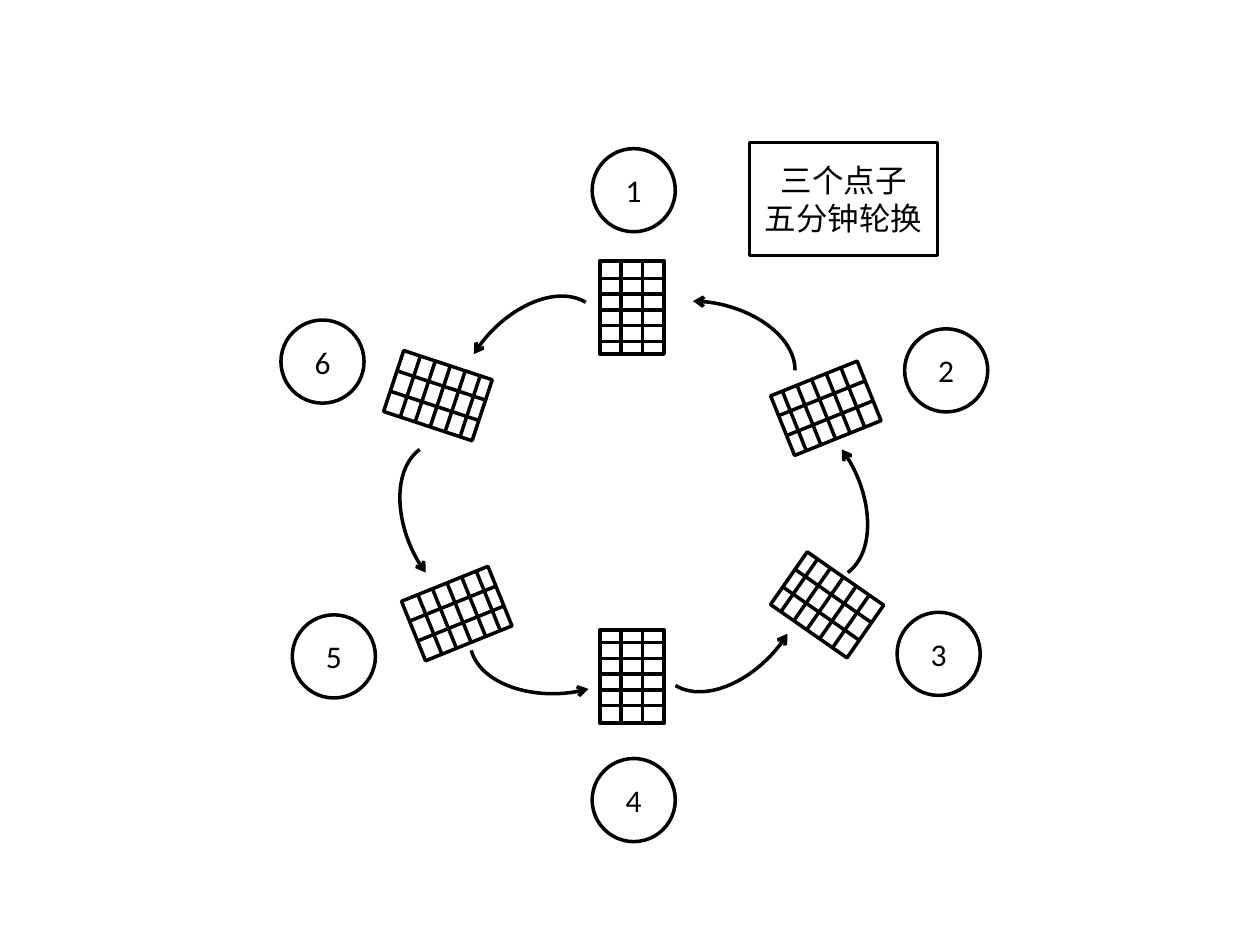
from math import cos, radians, sin

from lxml.etree import SubElement
from pptx import Presentation
from pptx.dml.color import RGBColor
from pptx.enum.shapes import MSO_CONNECTOR as Link, MSO_SHAPE as Shape
from pptx.enum.text import MSO_ANCHOR as Anchor, PP_ALIGN as Align
from pptx.oxml.ns import qn
from pptx.util import Inches, Pt

BLACK = RGBColor(0, 0, 0)
WHITE = RGBColor(255, 255, 255)
LATIN_FONT = "Calibri"
CHINESE_FONT = "Noto Sans CJK SC"

CIRCLE_SIZE = 0.66
SHEET_WIDTH, SHEET_HEIGHT = 0.51, 0.74
ROW_START, ROW_STEP = 0.1, 0.125
ARROW_WIDTH, ARROW_HEIGHT = 0.55, 0.81

CIRCLES = [
    ("6", 2.23, 2.54), ("1", 4.7, 1.18), ("2", 7.18, 2.61),
    ("3", 7.12, 4.86), ("5", 2.32, 4.88), ("4", 4.7, 6.02),
]
SHEETS = [
    (4.76, 2.07, 180), (3.22, 2.77, 108.3), (3.37, 4.5, 68),
    (4.76, 5, 0), (6.31, 4.43, 304.9), (6.3, 2.87, 248.1),
]
ARROWS = [
    (5.63, 2.26, 270, "v"), (3.93, 2.2, 211, "v"), (3.08, 3.65, 143, "v"),
    (3.93, 4.91, 254, "h"), (5.53, 4.83, 211, "h"), (6.43, 3.65, 143, "h"),
]


def add_outline(shapes, kind, left, top, width, height):
    """Add a white shape with a black outline."""
    shape = shapes.add_shape(
        kind, Inches(left), Inches(top), Inches(width), Inches(height))
    shape.shadow.inherit = False
    shape.fill.solid()
    shape.fill.fore_color.rgb = WHITE
    shape.line.color.rgb = BLACK
    shape.line.width = Pt(2)
    return shape


def add_link(shapes, kind, start, end):
    """Add a black connector between two points."""
    link = shapes.add_connector(kind, *(Inches(value) for value in (*start, *end)))
    link.line.color.rgb = BLACK
    link.line.width = Pt(2)
    SubElement(link._element.spPr, qn("a:effectLst"))
    return link


def write_centred(shape, lines, font):
    """Write centred lines, one paragraph each, into a shape."""
    frame = shape.text_frame
    frame.word_wrap = True
    frame.vertical_anchor = Anchor.MIDDLE
    for index, line in enumerate(lines):
        para = frame.add_paragraph() if index else frame.paragraphs[0]
        para.alignment = Align.CENTER
        span = para.add_run()
        span.text = line
        span.font.size = Pt(18)
        span.font.name = font
        span.font.color.rgb = BLACK
        SubElement(span.font._element, qn("a:ea"), typeface=font)


def add_person(page, number, left, top):
    """Add the numbered circle of one participant."""
    circle = add_outline(
        page.shapes, Shape.OVAL, left, top, CIRCLE_SIZE, CIRCLE_SIZE)
    write_centred(circle, [number], LATIN_FONT)


def add_sheet(page, left, top, angle):
    """Add a turned idea sheet with three columns and six rows."""
    shapes = page.shapes.add_group_shape().shapes
    sheet = add_outline(
        shapes, Shape.RECTANGLE, left, top, SHEET_WIDTH, SHEET_HEIGHT)
    sheet.rotation = angle
    turn_cos, turn_sin = cos(radians(angle)), sin(radians(angle))

    def turned(x, y):
        """Turn a point of the sheet around its centre."""
        x, y = x - SHEET_WIDTH / 2, y - SHEET_HEIGHT / 2
        return (left + SHEET_WIDTH / 2 + x * turn_cos - y * turn_sin,
                top + SHEET_HEIGHT / 2 + x * turn_sin + y * turn_cos)

    for column in (1, 2):
        x = SHEET_WIDTH * column / 3
        add_link(shapes, Link.STRAIGHT, turned(x, 0), turned(x, SHEET_HEIGHT))
    for row in range(5):
        y = ROW_START + ROW_STEP * row
        add_link(shapes, Link.STRAIGHT, turned(0, y), turned(SHEET_WIDTH, y))


def add_arrow(shapes, left, top, angle, flip):
    """Add a turned curved arrow, mirrored along one axis."""
    right, bottom = left + ARROW_WIDTH, top + ARROW_HEIGHT
    corners = (left, bottom), (right, top)
    start, end = corners if flip == "v" else corners[::-1]
    arrow = add_link(shapes, Link.CURVE, start, end)
    arrow.rotation = angle
    arrow._element.spPr.find(qn("a:prstGeom")).set("prst", "curvedConnector2")
    SubElement(arrow.line._get_or_add_ln(), qn("a:tailEnd"), type="arrow")


def add_rule_box(page, left, top, width, height):
    """Add the box that states the rule of the rotation."""
    box = add_outline(page.shapes, Shape.RECTANGLE, left, top, width, height)
    write_centred(box, ["三个点子", "五分钟轮换"], CHINESE_FONT)


def build_rotation(page):
    """Place the circles, sheets, arrows and rule box."""
    for circle in CIRCLES:
        add_person(page, *circle)
    for sheet in SHEETS:
        add_sheet(page, *sheet)
    ring = page.shapes.add_group_shape().shapes
    for arrow in ARROWS:
        add_arrow(ring, *arrow)
    add_rule_box(page, 5.95, 1.13, 1.49, 0.9)


deck = Presentation()
deck.slide_width, deck.slide_height = Inches(10), Inches(7.5)
build_rotation(deck.slides.add_slide(deck.slide_layouts[6]))
deck.save("out.pptx")
